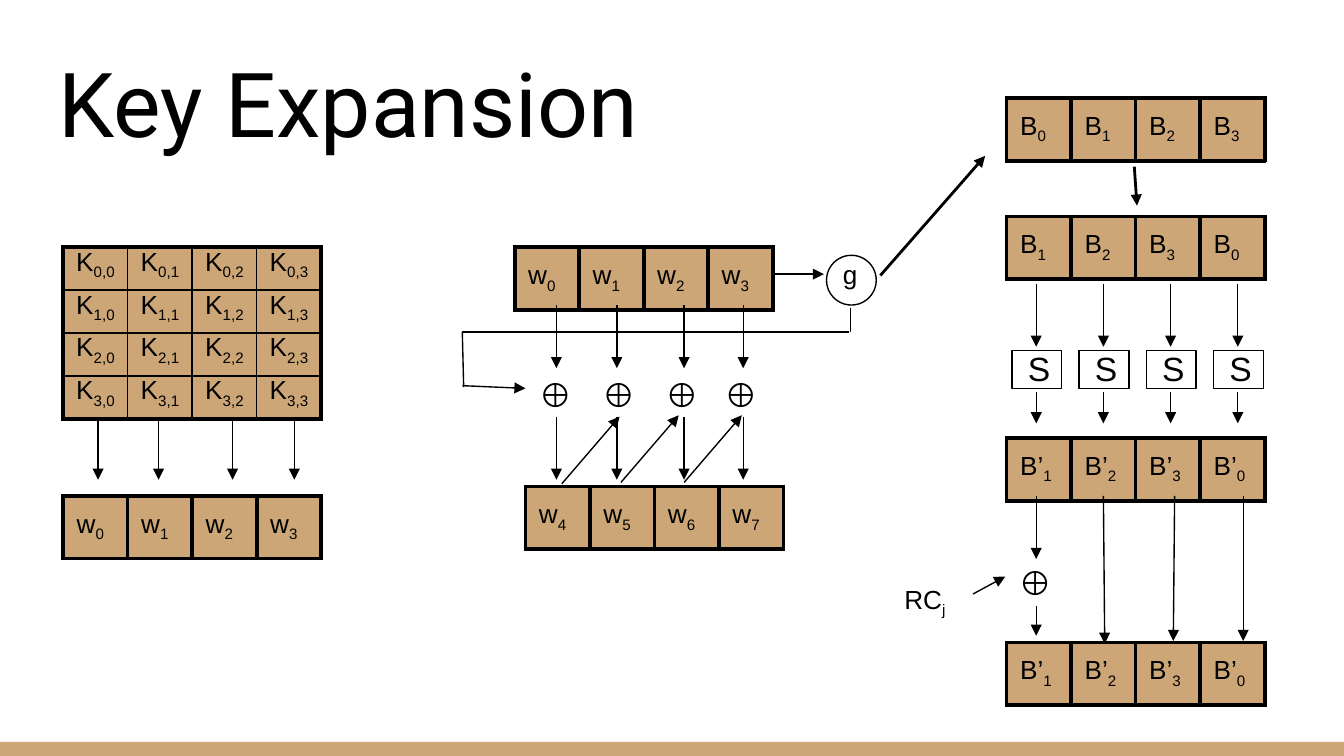
from lxml import etree
from pptx import Presentation
from pptx.dml.color import RGBColor
from pptx.enum.shapes import MSO_CONNECTOR, MSO_SHAPE
from pptx.enum.text import MSO_ANCHOR, PP_ALIGN
from pptx.oxml import parse_xml
from pptx.oxml.ns import nsdecls, qn
from pptx.util import Pt

PX = 9144  # 100 px to the inch
BLACK, TAN = "000000", "CCA677"
rgb = RGBColor.from_string


def write(frame, base, sub="", size=14, face="Arial", align=PP_ALIGN.LEFT):
    """Set a symbol, with an optional subscript, in a text frame."""
    paragraph = frame.paragraphs[0]
    paragraph.text = base
    paragraph.alignment = align
    if sub:
        subscript = paragraph.add_run()
        subscript.text = sub
        subscript._r.get_or_add_rPr().set("baseline", "-25000")
    for run in paragraph.runs:
        run.font.size = Pt(size)
        run.font.name = face
        run.font.bold = False
        run.font.color.rgb = rgb(BLACK)


deck = Presentation()
deck.slide_width = 1000 * PX
deck.slide_height = deck.slide_width * 9 // 16
slide = deck.slides.add_slide(deck.slide_layouts[6])
shapes = slide.shapes

footer = shapes.add_shape(MSO_SHAPE.RECTANGLE, 0, 552 * PX, 1000 * PX, 11 * PX)
footer.fill.solid()
footer.fill.fore_color.rgb = rgb(TAN)
footer.line.fill.background()
footer.shadow.inherit = False

title = shapes.add_textbox(34 * PX, 35 * PX, 932 * PX, 91 * PX).text_frame
title.word_wrap = True
title.vertical_anchor = MSO_ANCHOR.BOTTOM
title.margin_left = title.margin_right = title.margin_top = title.margin_bottom = 10 * PX
write(title, "Key Expansion", size=48, face="Roboto")

# Key matrix and word or byte rows: left, top, symbol, subscripts by row
KEY_MATRIX = [[f"{row},{col}" for col in range(4)] for row in range(4)]
grids = [
    (47, 184, "K", KEY_MATRIX),
    (47, 369, "w", ["0123"]),
    (383, 184, "w", ["0123"]),
    (391, 362, "w", ["4567"]),
    (749, 161, "B", ["1230"]),
    (749, 73, "B", ["0123"]),
    (749, 326, "B’", ["1230"]),
    (749, 478, "B’", ["1230"]),
]
for left, top, symbol, indices in grids:
    is_matrix = len(indices) > 1
    row_height, margin = (32, 0) if is_matrix else (38, 10)
    last_row = len(indices) - 1
    table = shapes.add_table(len(indices), 4, left * PX, top * PX,
                             4 * 48 * PX, len(indices) * row_height * PX).table
    table.first_row = table.horz_banding = False
    for column in table.columns:
        column.width = 48 * PX
    for r, row_indices in enumerate(indices):
        table.rows[r].height = row_height * PX
        for c, index in enumerate(row_indices):
            cell = table.cell(r, c)
            cell.margin_left = cell.margin_right = margin * PX
            cell.margin_top = cell.margin_bottom = margin * PX
            write(cell.text_frame, symbol, index,
                  align=PP_ALIGN.CENTER if is_matrix else PP_ALIGN.LEFT)
            outer_edges = {"L": c == 0, "R": c == 3, "T": r == 0, "B": r == last_row}
            for side, is_outer in outer_edges.items():
                weight = Pt(2.25) if is_outer or not is_matrix else Pt(1)
                cell._tc.get_or_add_tcPr().append(parse_xml(
                    f'<a:ln{side} {nsdecls("a")} w="{weight}"><a:solidFill>'
                    f'<a:srgbClr val="{BLACK}"/></a:solidFill></a:ln{side}>'))
            cell.fill.solid()
            cell.fill.fore_color.rgb = rgb(TAN)

# The g function and the S-boxes
sbox_lefts = [748 + 50 * i for i in range(4)]
outlines = [(MSO_SHAPE.OVAL, 615, 190, 37, 37)]
outlines += [(MSO_SHAPE.RECTANGLE, x + 5, 261, 37, 28) for x in sbox_lefts]
for kind, left, top, width, height in outlines:
    outline = shapes.add_shape(kind, left * PX, top * PX, width * PX, height * PX)
    outline.fill.background()
    outline.line.color.rgb = rgb(BLACK)
    outline.line.width = Pt(0.75)
    outline.shadow.inherit = False

# Left, top, width, height, symbol, subscript, size
labels = [(612, 182, 43, 47, " g", "", 14),
          (663, 424, 61, 37, "RC", "j", 14),
          (748, 408, 47, 43, "⊕", "", 18)]
labels += [(x, 268, 47, 43, "⊕", "", 18) for x in (391, 438, 485, 529)]
labels += [(x, 249, 47, 43, " S", "", 18) for x in sbox_lefts]
for left, top, width, height, symbol, sub, size in labels:
    frame = shapes.add_textbox(left * PX, top * PX, width * PX, height * PX).text_frame
    frame.word_wrap = True
    frame.margin_left = frame.margin_right = frame.margin_top = frame.margin_bottom = 10 * PX
    write(frame, symbol, sub, size)

# Flow lines: from x, y to x, y
arrows = [(x, 310, x, 357) for x in (73, 118, 173, 219)]
for x in (414, 459, 509, 553):
    arrows += [(x, 227, x, 274), (x, 310, x, 357)]
for x in (771, 821, 871, 921):
    arrows += [(x, 211, x, 258), (x, 292, x, 315)]
arrows += [
    (418, 360, 461, 310), (462, 359, 505, 309), (509, 359, 552, 309),
    (576, 204, 613, 204), (344, 287, 391, 289),
    (724, 442, 748, 429), (771, 369, 771, 416), (771, 451, 771, 473),
    (821, 369, 822, 479), (874, 369, 873, 477), (925, 369, 925, 477),
]
feedback = [(633, 229, 633, 247), (632, 247, 344, 247), (344, 247, 345, 288)]
g_detail = [(844, 124, 846, 153), (655, 205, 733, 116)]

for paths, weight, has_head in ((arrows, 0.75, True), (feedback, 0.75, False),
                                (g_detail, 1.5, True)):
    for ends in paths:
        flow = shapes.add_connector(MSO_CONNECTOR.STRAIGHT, *(end * PX for end in ends))
        flow.line.color.rgb = rgb(BLACK)
        flow.line.width = Pt(weight)
        if has_head:
            etree.SubElement(flow.line._get_or_add_ln(), qn("a:tailEnd"), type="triangle")
        etree.SubElement(flow._element.spPr, qn("a:effectLst"))

deck.save("out.pptx")
